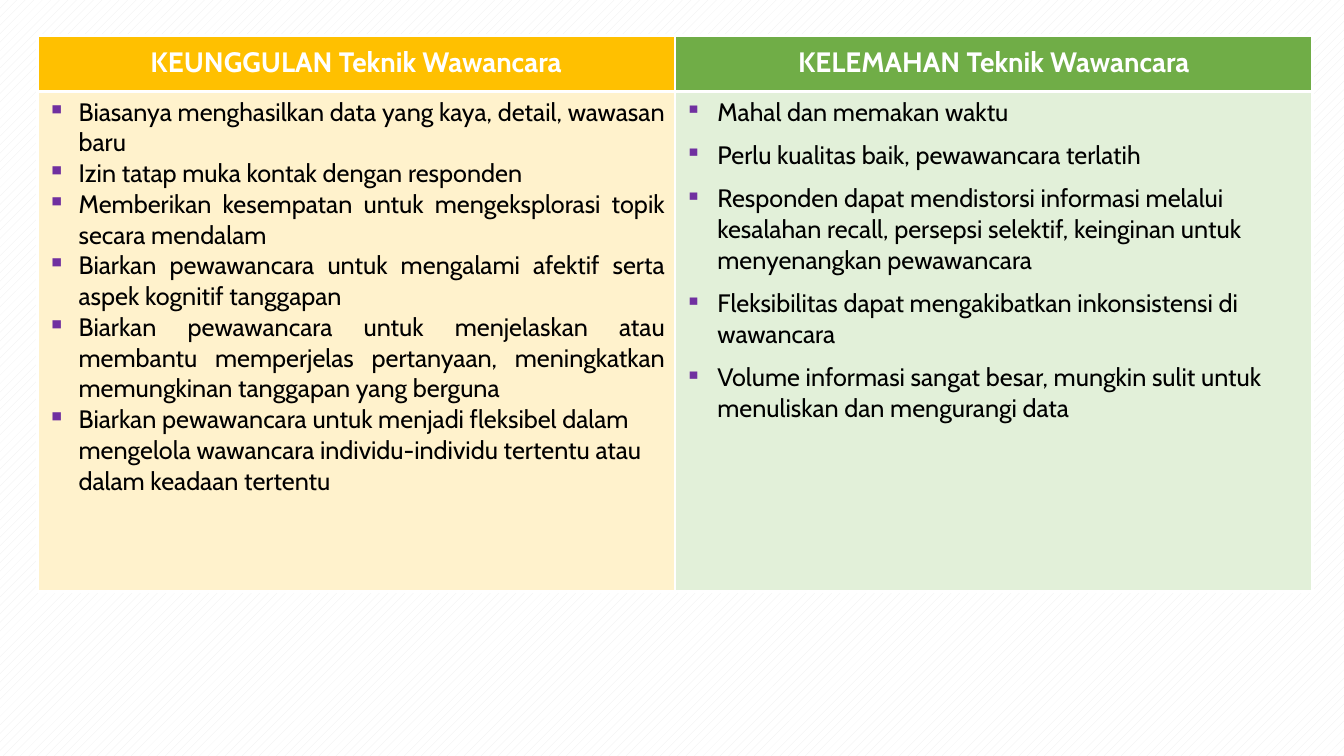
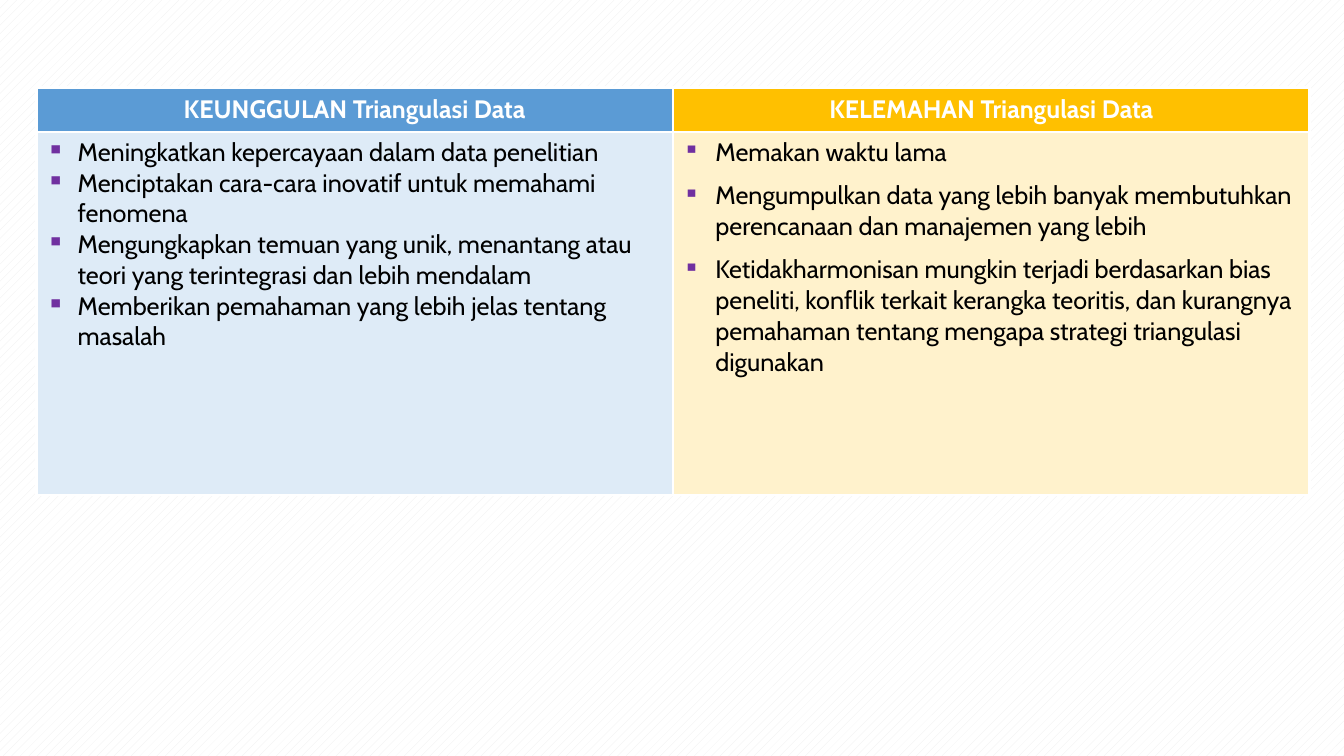
import dataclasses

import lxml.etree
import pptx
import pptx.dml.color
import pptx.enum.dml
import pptx.enum.text
import pptx.oxml.ns
import pptx.util

Inches = pptx.util.Inches
Pt = pptx.util.Pt
ALIGN = pptx.enum.text.PP_ALIGN


@dataclasses.dataclass(frozen=True)
class Theme:
    """Colours, font and type sizes shared by the slides."""
    font: str = "Cabin"
    white: str = "FFFFFF"
    hatch: str = "EDEDED"
    text: str = "000000"
    bullet: str = "7030A0"
    gold: str = "FFC000"
    pale_gold: str = "FFF2CC"
    green: str = "70AD47"
    pale_green: str = "E2F0D9"
    blue: str = "5B9BD5"
    pale_blue: str = "DEEBF7"
    body_size: float = 18
    large_heading_size: float = 20
    border_width: float = 2.25
    loose_gap: float = 9


@dataclasses.dataclass(frozen=True)
class Column:
    """One side of a comparison; justified counts its leading justified points."""
    heading: str
    points: tuple
    head_fill: str
    body_fill: str
    loose: bool = False
    justified: int = 0


@dataclasses.dataclass(frozen=True)
class Comparison:
    """The table of one slide, with its box in inches."""
    columns: tuple
    left: float
    top: float
    width: float
    head_height: float
    body_height: float
    heading_size: float
    heading_spacing: float = 1.0


THEME = Theme()

COMPARISONS = (
    Comparison(
        left=0.37, top=0.35, width=12.65, head_height=0.56, body_height=4.96,
        heading_size=THEME.large_heading_size, heading_spacing=0.85,
        columns=(
            Column("KEUNGGULAN Teknik Wawancara", (
                "Biasanya menghasilkan data yang kaya, detail, wawasan baru",
                "Izin tatap muka kontak dengan responden",
                "Memberikan kesempatan untuk mengeksplorasi topik secara mendalam",
                "Biarkan pewawancara untuk mengalami afektif serta aspek kognitif tanggapan",
                "Biarkan pewawancara untuk menjelaskan atau membantu memperjelas "
                "pertanyaan, meningkatkan memungkinan tanggapan yang berguna",
                "Biarkan pewawancara untuk menjadi fleksibel dalam mengelola wawancara "
                "individu-individu tertentu atau dalam keadaan tertentu",
            ), THEME.gold, THEME.pale_gold, justified=5),
            Column("KELEMAHAN Teknik Wawancara", (
                "Mahal dan memakan waktu",
                "Perlu kualitas baik, pewawancara terlatih",
                "Responden dapat mendistorsi informasi melalui kesalahan recall, "
                "persepsi selektif, keinginan untuk menyenangkan pewawancara",
                "Fleksibilitas dapat mengakibatkan inkonsistensi di wawancara",
                "Volume informasi sangat besar, mungkin sulit untuk menuliskan "
                "dan mengurangi data",
            ), THEME.green, THEME.pale_green, loose=True),
        ),
    ),
    Comparison(
        left=0.36, top=0.87, width=12.63, head_height=0.44, body_height=3.6,
        heading_size=THEME.body_size,
        columns=(
            Column("KEUNGGULAN Triangulasi Data", (
                "Meningkatkan kepercayaan dalam data penelitian",
                "Menciptakan cara-cara inovatif untuk memahami fenomena",
                "Mengungkapkan temuan yang unik, menantang atau teori yang "
                "terintegrasi dan lebih mendalam",
                "Memberikan pemahaman yang lebih jelas tentang masalah",
            ), THEME.blue, THEME.pale_blue),
            Column("KELEMAHAN Triangulasi Data", (
                "Memakan waktu lama",
                "Mengumpulkan data yang lebih banyak membutuhkan perencanaan "
                "dan manajemen yang lebih",
                "Ketidakharmonisan mungkin terjadi berdasarkan bias peneliti, "
                "konflik terkait kerangka teoritis, dan kurangnya pemahaman "
                "tentang mengapa strategi triangulasi digunakan",
            ), THEME.gold, THEME.pale_gold, loose=True),
        ),
    ),
)


def rgb(value):
    """Turn a hex string into a colour."""
    return pptx.dml.color.RGBColor.from_string(value)


def add_element(parent, tag, **attributes):
    """Append a DrawingML element to its parent."""
    return lxml.etree.SubElement(parent, pptx.oxml.ns.qn(tag), **attributes)


def style_master(master):
    """Give every slide the hatched background."""
    fill = master.background.fill
    fill.patterned()
    fill.pattern = pptx.enum.dml.MSO_PATTERN.DASHED_UPWARD_DIAGONAL
    fill.fore_color.rgb = rgb(THEME.hatch)
    fill.back_color.rgb = rgb(THEME.white)


def style_cell(cell, fill):
    """Draw the borders of a cell and fill it."""
    properties = cell._tc.get_or_add_tcPr()
    for side in "LRTB":
        line = add_element(properties, f"a:ln{side}", w=str(Pt(THEME.border_width)))
        add_element(add_element(line, "a:solidFill"), "a:srgbClr", val=THEME.white)
    cell.fill.solid()
    cell.fill.fore_color.rgb = rgb(fill)


def style_runs(para, size, color, bold):
    """Format the runs of a paragraph."""
    for span in para.runs:
        span.font.name = THEME.font
        span.font.size = Pt(size)
        span.font.bold = bold
        span.font.color.rgb = rgb(color)


def add_bullet(para, indent, percent):
    """Give a paragraph a hanging square bullet."""
    properties = para._p.get_or_add_pPr()
    properties.set("marL", str(Inches(indent)))
    properties.set("indent", str(-Inches(indent)))
    add_element(add_element(properties, "a:buClr"), "a:srgbClr", val=THEME.bullet)
    add_element(properties, "a:buSzPct", val=str(percent * 1000))
    add_element(properties, "a:buChar", char="▪")


def fill_heading(cell, column, comparison):
    """Write the heading of a column."""
    style_cell(cell, column.head_fill)
    cell.vertical_anchor = pptx.enum.text.MSO_ANCHOR.MIDDLE
    para = cell.text_frame.paragraphs[0]
    para.text = column.heading
    para.alignment = ALIGN.CENTER
    para.line_spacing = comparison.heading_spacing
    style_runs(para, comparison.heading_size, THEME.white, True)


def fill_points(cell, column):
    """Write the bulleted points of a column."""
    style_cell(cell, column.body_fill)
    cell.text_frame.text = "\n".join(column.points)
    indent, percent = (0.32, 90) if column.loose else (0.31, 100)
    for index, para in enumerate(cell.text_frame.paragraphs):
        add_bullet(para, indent, percent)
        para.alignment = ALIGN.JUSTIFY if index < column.justified else ALIGN.LEFT
        if column.loose and index:
            para.space_before = Pt(THEME.loose_gap)
        style_runs(para, THEME.body_size, THEME.text, False)


def add_comparison(page, comparison):
    """Place a comparison table in its box."""
    heights = (comparison.head_height, comparison.body_height)
    count = len(comparison.columns)
    table = page.shapes.add_table(
        len(heights), count, Inches(comparison.left), Inches(comparison.top),
        Inches(comparison.width), Inches(sum(heights))).table
    table.horz_banding = False
    for row, height in zip(table.rows, heights):
        row.height = Inches(height)
    for index, column in enumerate(comparison.columns):
        table.columns[index].width = Inches(comparison.width / count)
        fill_heading(table.cell(0, index), column, comparison)
        fill_points(table.cell(1, index), column)


def main():
    """Build and save the deck."""
    deck = pptx.Presentation()
    deck.slide_width = Inches(13.33)
    deck.slide_height = Inches(7.5)
    style_master(deck.slide_master)
    blank = deck.slide_layouts.get_by_name("Blank")
    for comparison in COMPARISONS:
        add_comparison(deck.slides.add_slide(blank), comparison)
    deck.save("out.pptx")


if __name__ == "__main__":
    main()
